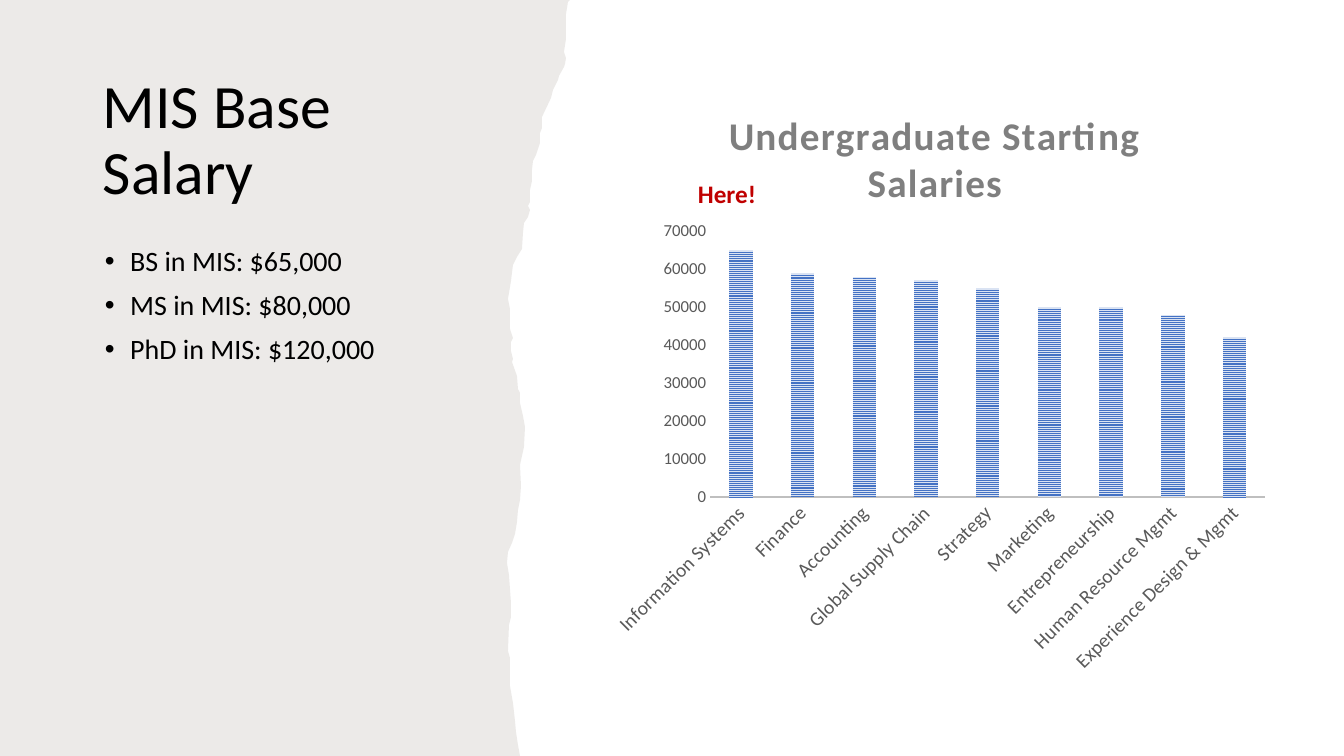
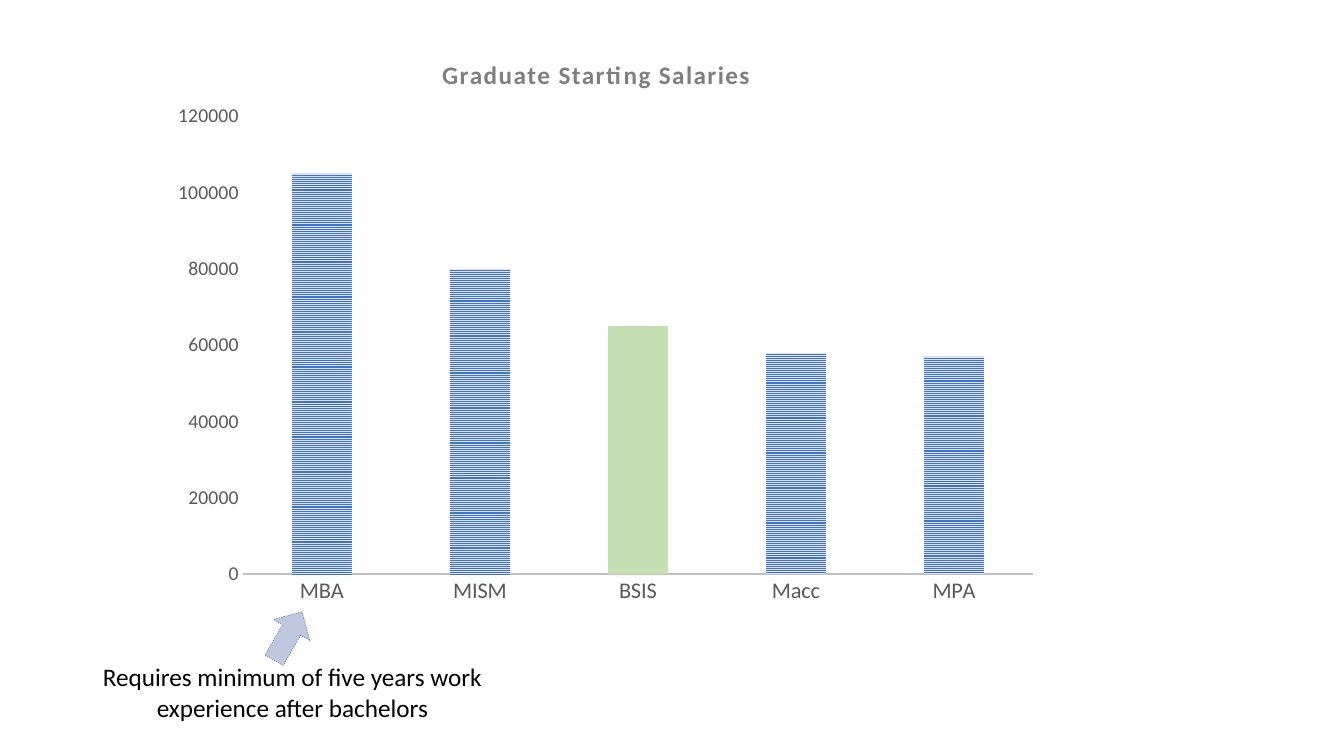
from lxml import etree
from pptx import Presentation
from pptx import util as u
from pptx.chart.data import CategoryChartData
from pptx.dml.color import RGBColor
from pptx.enum import chart as ch, dml, shapes, text
from pptx.oxml.ns import qn

WIDE, HIGH = 1344, 756
SCALE = 12192000 / WIDE
FONT = "Calibri"
HUES = {
    "ink": "000000", "paper": "82766A", "red": "C00000", "head": "7F7F7F",
    "label": "595959", "rule": "BFBFBF", "bar": "4472C4", "pale": "DAE3F3",
    "green": "C5E0B4", "arrow": "6076B4", "edge": "44546A",
}
TEAR = [
    (570, 0), (568, 2), (566, 14), (566, 39), (564, 52), (566, 58),
    (565, 64), (564, 67), (559, 76), (558, 80), (553, 90), (551, 98),
    (542, 117), (542, 128), (540, 133), (540, 143), (536, 155), (533, 161),
    (532, 170), (532, 181), (530, 190), (530, 202), (528, 206), (530, 210),
    (528, 217), (524, 223), (523, 233), (522, 249), (517, 257), (513, 265),
    (511, 281), (508, 299), (510, 309), (510, 329), (513, 338), (511, 342),
    (511, 351), (513, 359), (512, 362), (517, 376), (518, 389), (520, 393),
    (520, 403), (523, 416), (525, 427), (524, 447), (520, 465), (521, 486),
    (520, 500), (518, 510), (517, 522), (515, 534), (512, 543), (508, 552),
    (507, 563), (509, 575), (511, 603), (511, 617), (509, 625), (508, 651),
    (510, 658), (510, 686), (513, 703), (515, 721), (516, 732), (518, 745),
    (520, 756),
]


def px(*nums):
    return [u.Emu(round(n * SCALE)) for n in nums]


def hue(name):
    return RGBColor.from_string(HUES[name])


def style(font, size, color, bold=False):
    font.name = FONT
    font.size = u.Pt(size)
    font.bold = bold
    font.color.rgb = hue(color)


def tint(shape, color, alpha):
    shape.shadow.inherit = False
    shape.fill.solid()
    shape.fill.fore_color.rgb = hue(color)
    tone = shape.fill._xPr.find(".//" + qn("a:srgbClr"))
    etree.SubElement(tone, qn("a:alpha")).set("val", str(alpha * 1000))


def place(node, index, **vals):
    for old in node.findall(qn("c:layout")):
        node.remove(old)
    lay = etree.Element(qn("c:layout"))
    man = etree.SubElement(lay, qn("c:manualLayout"))
    for tag, val in vals.items():
        etree.SubElement(man, qn("c:" + tag)).set("val", str(val))
    node.insert(index, lay)


class Deck:
    def __init__(self):
        self.prs = Presentation()
        self.prs.slide_width, self.prs.slide_height = px(WIDE, HIGH)
        self.slide = None

    def page(self):
        self.slide = self.prs.slides.add_slide(self.prs.slide_layouts[6])

    def paper(self, edge):
        pen = self.slide.shapes.build_freeform(0, 0, scale=SCALE)
        pen.add_line_segments(edge + [(0, HIGH)], close=True)
        shape = pen.convert_to_shape()
        tint(shape, "paper", 15)
        shape.line.fill.background()

    def text(self, box, lines, size, color="ink", bold=False, mid=False,
             align=text.PP_ALIGN.LEFT, lead=1.0, dots=False):
        frame = self.slide.shapes.add_textbox(*px(*box)).text_frame
        frame.word_wrap = True
        if mid:
            frame.vertical_anchor = text.MSO_ANCHOR.MIDDLE
        frame.text = "\n".join(lines)
        for i, para in enumerate(frame.paragraphs):
            para.alignment = align
            para.line_spacing = lead
            if dots:
                props = para._p.get_or_add_pPr()
                props.set("marL", "228600")
                props.set("indent", "-228600")
                etree.SubElement(props, qn("a:buFont")).set("typeface", "Arial")
                etree.SubElement(props, qn("a:buChar")).set("char", "•")
                if i:
                    para.space_before = u.Pt(10)
            for run in para.runs:
                style(run.font, size, color, bold)

    def arrow(self, box, turn):
        kind = shapes.MSO_SHAPE.DOWN_ARROW
        shape = self.slide.shapes.add_shape(kind, *px(*box))
        shape.rotation = turn
        tint(shape, "arrow", 40)
        shape.line.color.rgb = hue("edge")
        shape.line.width = u.Pt(0.25)
        shape.line.dash_style = dml.MSO_LINE.DASH

    def chart(self, box, plot, title, spot, sizes, top, step, data,
              mark=None, slant=None):
        left, high, wide, tall = box
        info = CategoryChartData()
        info.categories = list(data)
        info.add_series("Series 1", list(data.values()))
        kind = ch.XL_CHART_TYPE.COLUMN_CLUSTERED
        chart = self.slide.shapes.add_chart(kind, *px(*box), info).chart
        style(chart.font, 10, "ink")
        chart.has_legend = False
        self.head(chart, title, sizes[0])
        place(chart.chart_title._element, 1, xMode="edge", yMode="edge",
              x=round((spot[0] - left) / wide, 3),
              y=round((spot[1] - high) / tall, 3))
        place(chart._chartSpace.chart.plotArea, 0, layoutTarget="inner",
              xMode="edge", yMode="edge",
              x=round((plot[0] - left) / wide, 3),
              y=round((plot[1] - high) / tall, 3),
              w=round(plot[2] / wide, 3), h=round(plot[3] / tall, 3))
        self.axes(chart, sizes, top, step, slant)
        self.bars(chart.plots[0], mark)

    def head(self, chart, title, size):
        chart.has_title = True
        frame = chart.chart_title.text_frame
        frame.text = title
        run = frame.paragraphs[0].runs[0]
        style(run.font, size, "head", True)
        run._r.get_or_add_rPr().set("spc", "100")

    def axes(self, chart, sizes, top, step, slant):
        cat, val = chart.category_axis, chart.value_axis
        for axis, size in zip((cat, val), sizes[1:]):
            axis.has_major_gridlines = False
            axis.major_tick_mark = ch.XL_TICK_MARK.NONE
            axis.minor_tick_mark = ch.XL_TICK_MARK.NONE
            style(axis.tick_labels.font, size, "label")
        cat.format.line.color.rgb = hue("rule")
        cat.format.line.width = u.Pt(1.5)
        val.format.line.fill.background()
        val.minimum_scale, val.maximum_scale = 0, top
        val.major_unit = step
        if slant:
            body = cat._element.find(qn("c:txPr")).find(qn("a:bodyPr"))
            body.set("rot", str(slant * 60000))

    def bars(self, plot, mark):
        plot.gap_width = 164
        plot.overlap = -22
        plot.vary_by_categories = False
        row = plot.series[0]
        fill = row.format.fill
        fill.patterned()
        fill.pattern = dml.MSO_PATTERN.NARROW_HORIZONTAL
        fill.fore_color.rgb = hue("bar")
        fill.back_color.rgb = hue("pale")
        if mark is not None:
            spot = row.points[mark].format.fill
            spot.solid()
            spot.fore_color.rgb = hue("green")


def main():
    deck = Deck()

    deck.page()
    deck.paper(TEAR)
    deck.text((93, 68, 412, 147), ["MIS Base Salary"], 44, mid=True, lead=0.9)
    deck.text((95, 242, 378, 430),
              ["BS in MIS: $65,000", "MS in MIS: $80,000", "PhD in MIS: $120,000"],
              20, lead=0.9, dots=True)
    deck.chart((601, 73, 678, 613), (710, 231, 555, 266),
               "Undergraduate Starting Salaries", (722, 102), (28, 14, 12),
               70000, 10000,
               {"Information Systems": 65000, "Finance": 59000,
                "Accounting": 58000, "Global Supply Chain": 57000,
                "Strategy": 55000, "Marketing": 50000,
                "Entrepreneurship": 50000, "Human Resource Mgmt": 48000,
                "Experience Design & Mgmt": 42000}, slant=-45)
    deck.text((688, 173, 82, 40), ["Here!"], 18, "red", bold=True)

    deck.page()
    deck.chart((160, 29, 890, 588), (243, 116, 790, 458),
               "Graduate Starting Salaries", (438, 53), (18, 16, 14),
               120000, 20000,
               {"MBA": 105000, "MISM": 80000, "BSIS": 65000,
                "Macc": 58000, "MPA": 57000}, mark=2)
    deck.arrow((267, 608, 42, 56), 210)
    deck.text((74, 656, 437, 72),
              ["Requires minimum of five years work experience after bachelors"],
              18, mid=True, align=text.PP_ALIGN.CENTER)

    deck.prs.save("out.pptx")


if __name__ == "__main__":
    main()
